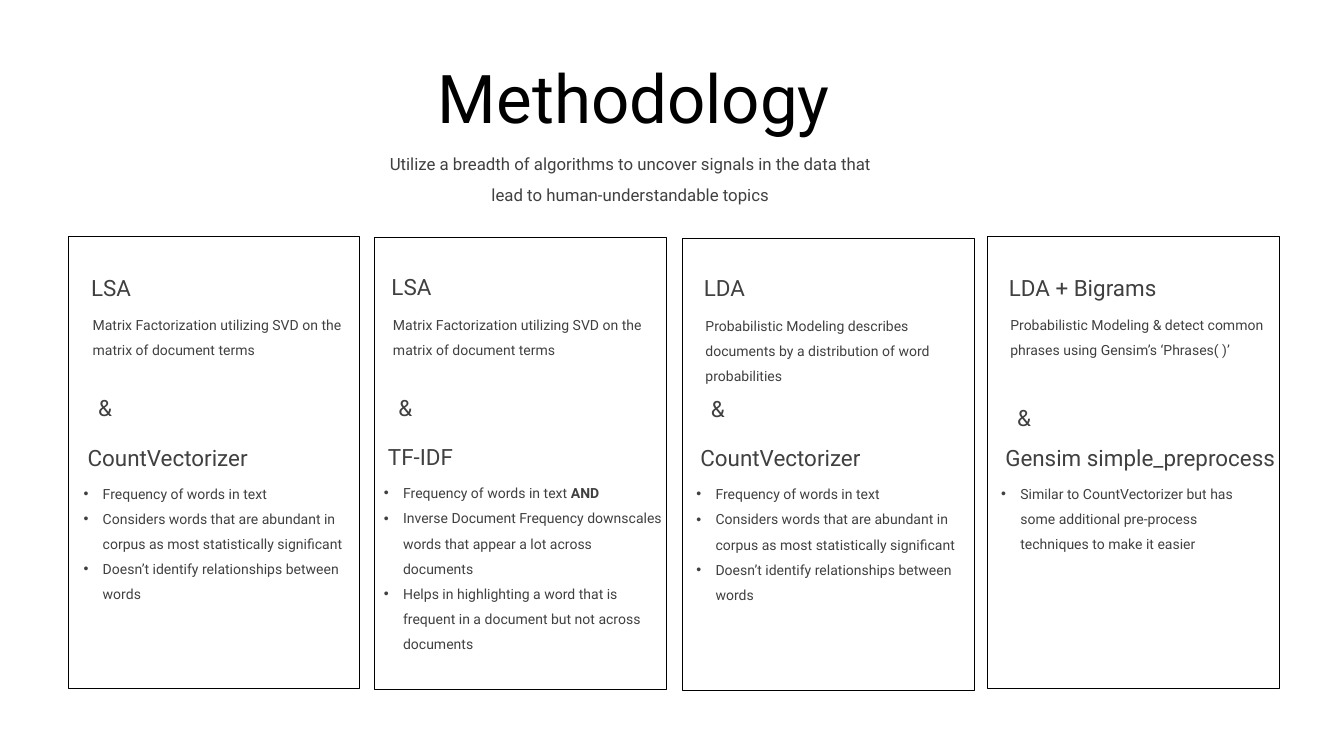
import pptx
import pptx.dml.color
import pptx.enum.shapes
import pptx.enum.text
import pptx.oxml
import pptx.oxml.ns
import pptx.util

PX = 9144  # 100 px to the inch
FONT = "Roboto"
BLACK, GREY = "000000", "404040"
ALIGN = pptx.enum.text.PP_ALIGN

TITLE = {"size": 96, "color": BLACK, "line_spacing": pptx.util.Pt(100)}
SUBTITLE = {"size": 24, "line_spacing": 1.5, "alignment": ALIGN.CENTER}
HEADING = {"size": 32}
AMPERSAND = {"size": 32, "alignment": ALIGN.RIGHT}
BODY = {"size": 20, "line_spacing": 1.5}

CARD_WIDTH, CARD_HEIGHT = 579, 897
BULLET_INDENT = 38

SVD = "Matrix Factorization utilizing SVD on the matrix of document terms"
COUNT_BULLETS = [
    [("Frequency of words in text", False)],
    [("Considers words that are abundant in corpus as most statistically significant", False)],
    [("Doesn’t identify relationships between words", False)],
]
TFIDF_BULLETS = [
    [("Frequency of words in text ", False), ("AND", True)],
    [("Inverse Document Frequency downscales words that appear a lot across documents", False)],
    [("Helps in highlighting a word that is frequent in a document but not across documents", False)],
]
GENSIM_BULLETS = [
    [("Similar to CountVectorizer but has some additional pre-process techniques "
      "to make it easier", False)],
]

# "inset" is where the card's text starts, "ampersand" its offset from there
CARDS = [
    {"corner": (135, 468), "inset": (36, 70), "ampersand": (-19, 240), "bullet_width": 578,
     "model": "LSA", "description": SVD,
     "vectorizer": "CountVectorizer", "bullets": COUNT_BULLETS},
    {"corner": (743, 470), "inset": (24, 67), "ampersand": (-19, 240), "bullet_width": 578,
     "model": "LSA", "description": SVD,
     "vectorizer": "TF-IDF", "bullets": TFIDF_BULLETS},
    {"corner": (1354, 472), "inset": (33, 67), "ampersand": (-19, 240), "bullet_width": 578,
     "model": "LDA",
     "description": "Probabilistic Modeling describes documents by a distribution of word probabilities",
     "vectorizer": "CountVectorizer", "bullets": COUNT_BULLETS},
    {"corner": (1959, 468), "inset": (33, 70), "ampersand": (-16, 258), "bullet_width": 530,
     "model": "LDA + Bigrams",
     "description": "Probabilistic Modeling & detect common phrases using Gensim’s ‘Phrases( )’",
     "vectorizer": "Gensim simple_preprocess", "bullets": GENSIM_BULLETS},
]


def rgb(color):
    return pptx.dml.color.RGBColor.from_string(color)


def emu(*lengths):
    return [length * PX for length in lengths]


def add_bullet(paragraph):
    properties = paragraph._p.get_or_add_pPr()
    properties.set("marL", str(BULLET_INDENT * PX))
    properties.set("indent", str(-BULLET_INDENT * PX))
    for tag, name, value in (("buFont", "typeface", "Arial"), ("buChar", "char", "•")):
        element = pptx.oxml.parse_xml(f'<a:{tag} {pptx.oxml.ns.nsdecls("a")} {name}="{value}"/>')
        properties.append(element)


def add_text(slide, box, paragraphs, style, bulleted=False):
    """Place paragraphs, each a list of (text, bold) runs, in a box."""
    frame = slide.shapes.add_textbox(*emu(*box)).text_frame
    frame.word_wrap = True
    for index, runs in enumerate(paragraphs):
        paragraph = frame.paragraphs[0] if index == 0 else frame.add_paragraph()
        if bulleted:
            add_bullet(paragraph)
        for name in ("alignment", "line_spacing"):
            if name in style:
                setattr(paragraph, name, style[name])
        for text, bold in runs:
            run = paragraph.add_run()
            run.text = text
            font_values = {"name": FONT, "size": pptx.util.Pt(style["size"]), "bold": bold}
            for name, value in font_values.items():
                setattr(run.font, name, value)
            run.font.color.rgb = rgb(style.get("color", GREY))


def add_line(slide, box, text, style):
    add_text(slide, box, [[(text, False)]], style)


def add_header(slide, left, top):
    add_line(slide, (left + 96, top, 844, 156), "Methodology", TITLE)
    add_line(slide, (left, top + 154, 975, 126),
             "Utilize a breadth of algorithms to uncover signals in the data that "
             "lead to human-understandable topics", SUBTITLE)


def add_card(slide, card):
    left, top = card["corner"]

    # Frame
    frame = slide.shapes.add_shape(pptx.enum.shapes.MSO_SHAPE.RECTANGLE,
                                   *emu(left, top, CARD_WIDTH, CARD_HEIGHT))
    frame.shadow.inherit = False
    frame.fill.background()
    frame.line.color.rgb = rgb(BLACK)
    frame.line.width = pptx.util.Pt(1)

    # Model, ampersand and vectorizer
    x, y = left + card["inset"][0], top + card["inset"][1]
    shift_x, shift_y = card["ampersand"]
    add_line(slide, (x, y, 501, 64), card["model"], HEADING)
    add_line(slide, (x + 3, y + 69, 565, 107), card["description"], BODY)
    add_line(slide, (x + shift_x, y + shift_y, 80, 64), "&", AMPERSAND)
    add_line(slide, (x - 7, y + 338, 573, 64), card["vectorizer"], HEADING)
    add_text(slide, (x - 15, y + 403, card["bullet_width"], 258), card["bullets"], BODY,
             bulleted=True)


def main():
    presentation = pptx.Presentation()
    presentation.slide_width, presentation.slide_height = emu(2667, 1500)
    slide = presentation.slides.add_slide(presentation.slide_layouts[6])
    add_header(slide, 763, 127)
    for card in CARDS:
        add_card(slide, card)
    presentation.save("out.pptx")


if __name__ == "__main__":
    main()
